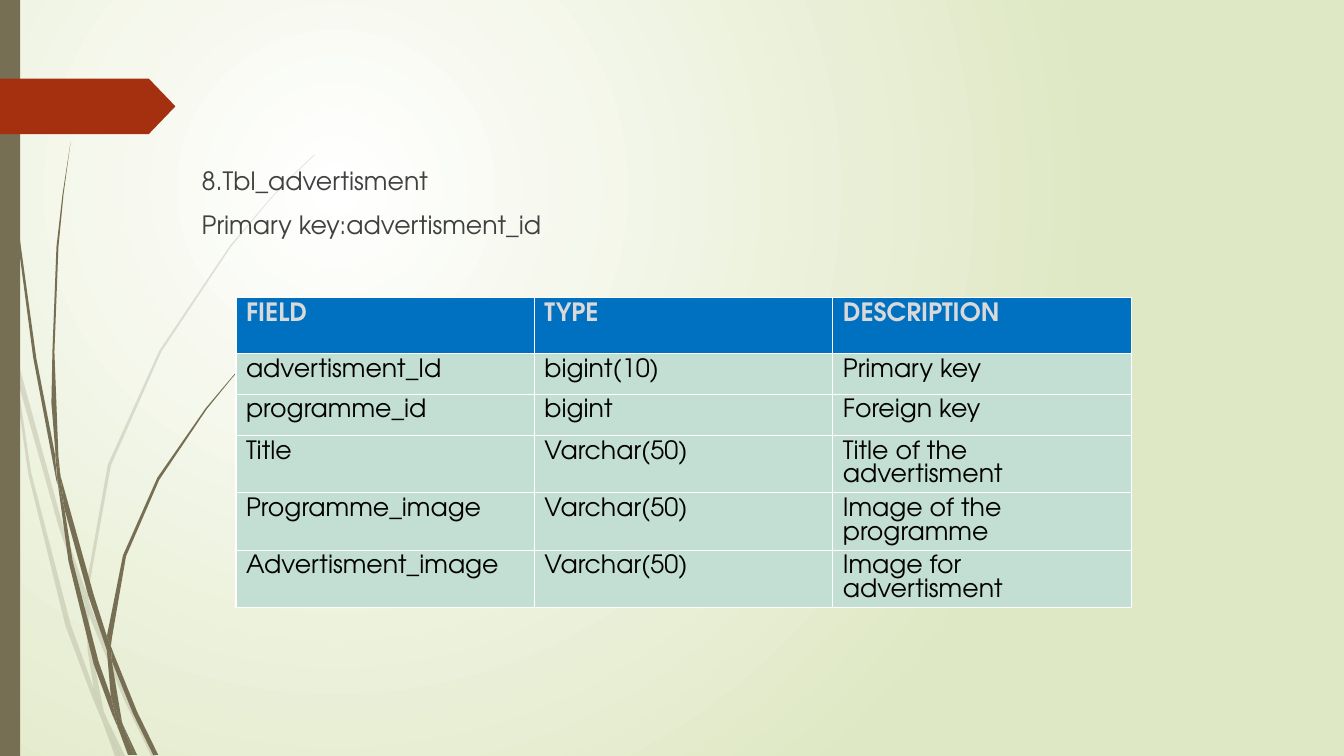
from lxml.etree import SubElement
from pptx import Presentation
from pptx.dml.color import RGBColor
from pptx.enum.shapes import MSO_SHAPE
from pptx.oxml.ns import qn
from pptx.util import Pt

PX = 9144  # EMU per px, at 100 px to the inch
FONT = "TeX Gyre Adventor"
OLIVE, RUST, WHITE = "766F54", "A53010", "FFFFFF"
HEADER_BLUE, CELL_GREEN = "0070C0", "C3DED3"

# Blades of grass: the outline of each piece, in px.
PALE_BLADES = [
    [(11, 350), (9, 322), (0, 282), (0, 299), (10, 344)],
    [(58, 522), (84, 599), (85, 586), (62, 520), (14, 345), (17, 376)],
    [(92, 607), (88, 596), (88, 610), (123, 694), (150, 750), (155, 750), (127, 692)],
    [(119, 750), (124, 750), (105, 711)],
    [(93, 683), (70, 619), (31, 469), (17, 376), (11, 350), (28, 470), (65, 621),
     (92, 693), (101, 714), (99, 707)],
    [(84, 599), (87, 646), (93, 683), (96, 692), (105, 711), (103, 706), (91, 646),
     (88, 610), (88, 608)],
    [(88, 584), (110, 462), (160, 349), (229, 245), (268, 198), (290, 175), (312, 154),
     (312, 153), (289, 175), (268, 197), (228, 244), (158, 348), (107, 461), (85, 584),
     (85, 586), (88, 596)],
    [(101, 714), (114, 750), (119, 750)],
    [(88, 608), (88, 610), (88, 596), (85, 586), (84, 599)],
    [(96, 692), (93, 683), (99, 707), (101, 714), (119, 750), (105, 711)],
]
DARK_BLADES = [
    [(7, 110), (17, 233), (33, 355), (56, 477), (57, 481), (55, 457), (55, 453), (36, 355),
     (19, 232), (8, 109), (5, 48), (4, 0), (3, 0), (4, 48)],
    [(88, 592), (106, 645), (106, 633), (106, 631), (93, 590), (60, 472), (64, 505)],
    [(113, 649), (110, 641), (111, 656), (132, 708), (152, 749), (157, 749), (136, 706)],
    [(110, 691), (98, 657), (72, 556), (64, 505), (57, 477), (68, 557), (93, 659),
     (111, 708), (117, 722), (116, 717)],
    [(60, 472), (58, 453), (54, 349), (58, 245), (63, 193), (70, 141), (62, 193), (56, 245),
     (52, 349), (51, 400), (55, 449)],
    [(133, 749), (136, 749), (122, 719)],
    [(57, 477), (64, 505), (60, 472), (55, 449), (55, 453)],
    [(111, 633), (125, 552), (158, 476), (205, 406), (231, 374), (245, 359), (261, 344),
     (260, 344), (245, 358), (231, 373), (204, 405), (156, 474), (122, 551), (106, 631),
     (110, 641)],
    [(117, 722), (127, 749), (131, 749)],
    [(106, 645), (110, 691), (116, 706), (122, 719), (121, 716), (111, 656), (109, 651)],
    [(106, 645), (109, 651), (111, 656), (110, 641), (106, 631), (106, 633)],
    [(116, 706), (110, 691), (116, 717), (117, 722), (130, 749), (133, 749), (122, 719)],
]
KEY_LINES = ["8.Tbl_advertisment", "Primary key:advertisment_id"]
FIELDS = [
    ("FIELD", "TYPE", "DESCRIPTION"),
    ("advertisment_Id", "bigint(10)", "Primary key"),
    ("programme_id", "bigint", "Foreign key"),
    ("Title", "Varchar(50)", "Title of the advertisment"),
    ("Programme_image", "Varchar(50)", "Image of the programme"),
    ("Advertisment_image", "Varchar(50)", "Image for advertisment"),
]
ROW_HEIGHTS = [56, 40, 41, 57, 57, 57]
COLUMN_WIDTH = 296


def emu(*lengths):
    return [length * PX for length in lengths]


def rgb(color):
    return RGBColor.from_string(color)


def write_text(paragraph, text, size=18, color="000000", bold=False, space_before=0):
    run = paragraph.add_run()
    run.text = text
    run.font.name = FONT
    run.font.size = Pt(size)
    run.font.bold = bold
    run.font.color.rgb = rgb(color)
    paragraph.space_before = Pt(space_before)


def paint(shape, color, opacity=100):
    shape.shadow.inherit = False
    shape.fill.solid()
    shape.fill.fore_color.rgb = rgb(color)
    shape.line.fill.background()
    if opacity < 100:
        color_element = shape._element.spPr.find(".//" + qn("a:srgbClr"))
        SubElement(color_element, qn("a:alpha"), val=str(opacity * 1000))


def set_background(slide):
    fill = slide.background.fill
    fill.gradient()
    for stop, color in zip(fill.gradient_stops, (WHITE, "DFE8C4")):
        stop.color.rgb = rgb(color)
    gradient = slide._element.find(".//" + qn("a:gradFill"))
    gradient.remove(gradient.find(qn("a:lin")))
    circle = SubElement(gradient, qn("a:path"), path="circle")
    SubElement(circle, qn("a:fillToRect"), l="50000", t="50000", r="100000", b="100000")


def add_blade(slide, outline, opacity):
    start, *others = outline
    builder = slide.shapes.build_freeform(*start, scale=PX)
    builder.add_line_segments(others, close=True)
    paint(builder.convert_to_shape(), OLIVE, opacity)


def add_block(slide, kind, box, color):
    shape = slide.shapes.add_shape(kind, *emu(*box))
    paint(shape, color)
    return shape


def fill_body(slide, lines):
    body = slide.placeholders[1]
    body.left, body.top, body.width, body.height = emu(190, 159, 1054, 483)
    frame = body.text_frame
    for index, line in enumerate(lines):
        paragraph = frame.add_paragraph() if index else frame.paragraphs[0]
        properties = paragraph._p.get_or_add_pPr()
        properties.set("marL", "0")
        properties.set("indent", "0")
        SubElement(properties, qn("a:buNone"))
        write_text(paragraph, line, color="404040", space_before=10 if index else 0)


def add_field_table(slide):
    columns = len(FIELDS[0])
    box = (234, 295, COLUMN_WIDTH * columns, sum(ROW_HEIGHTS))
    table = slide.shapes.add_table(len(FIELDS), columns, *emu(*box)).table
    for row_index, (row, height) in enumerate(zip(FIELDS, ROW_HEIGHTS)):
        table.rows[row_index].height = height * PX
        header = row_index == 0
        for cell, text in zip(table.rows[row_index].cells, row):
            cell.fill.solid()
            cell.fill.fore_color.rgb = rgb(HEADER_BLUE if header else CELL_GREEN)
            write_text(cell.text_frame.paragraphs[0], text, bold=header,
                       color="D9D9D9" if header else "000000")


def main():
    presentation = Presentation()
    presentation.slide_width, presentation.slide_height = emu(1333, 750)
    slide = presentation.slides.add_slide(presentation.slide_layouts[1])
    title = slide.shapes.title._element
    title.getparent().remove(title)
    set_background(slide)
    for blades, opacity in ((PALE_BLADES, 20), (DARK_BLADES, 100)):
        for outline in blades:
            add_blade(slide, outline, opacity)
    add_block(slide, MSO_SHAPE.RECTANGLE, (0, 0, 20, 750), OLIVE)
    arrow = add_block(slide, MSO_SHAPE.PENTAGON, (0, 78, 174, 55), RUST)
    arrow.adjustments[0] = 0.48
    fill_body(slide, KEY_LINES)
    add_field_table(slide)
    presentation.save("out.pptx")


if __name__ == "__main__":
    main()
